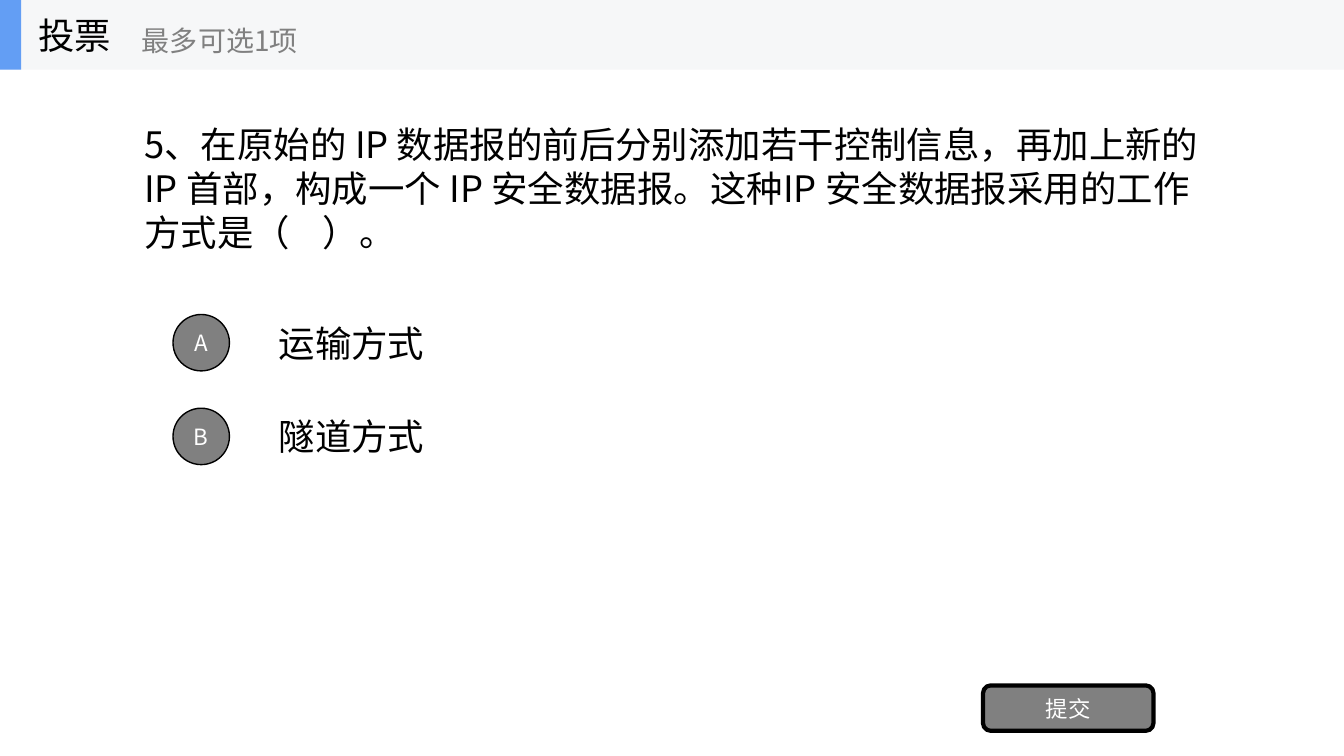
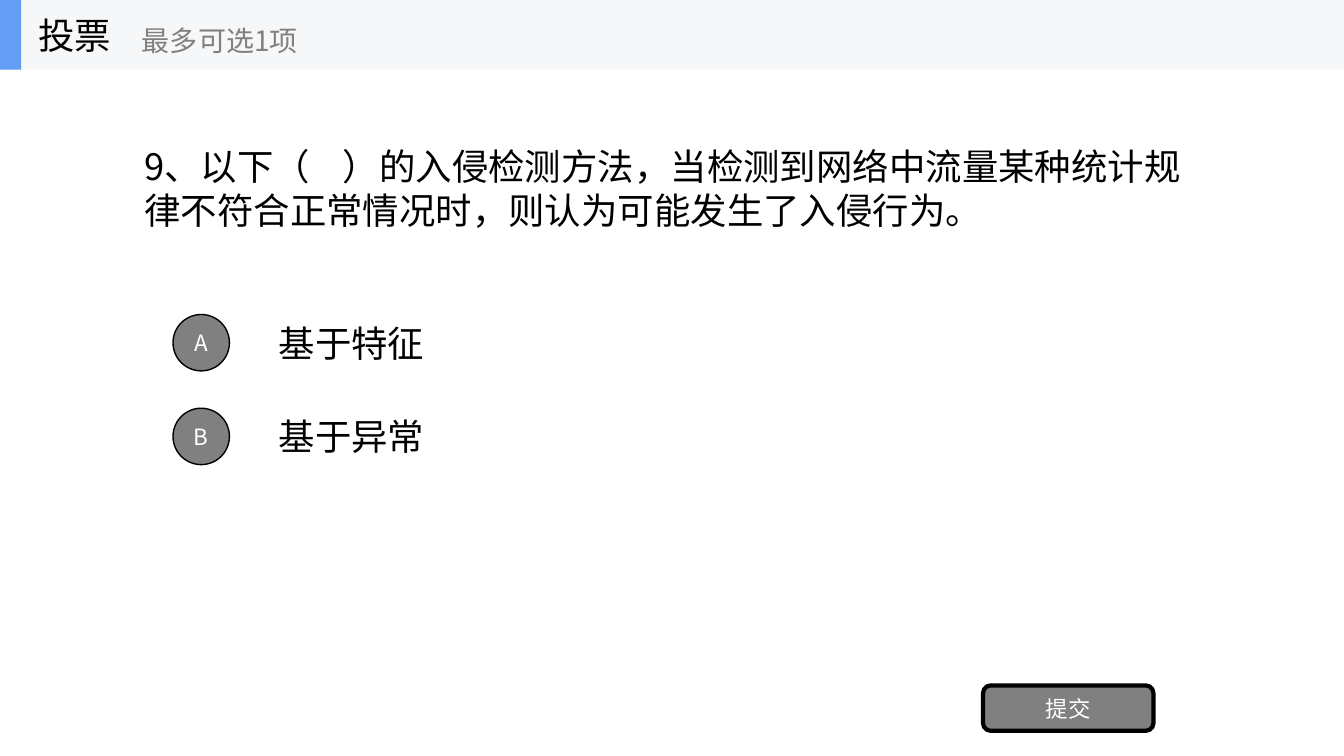
from dataclasses import dataclass

from lxml import etree
from pptx import Presentation
from pptx import util as u
from pptx.dml.color import RGBColor
from pptx.enum import shapes, text
from pptx.oxml import ns


@dataclass(frozen=True)
class Theme:
    font: str = "Noto Sans CJK SC"
    ink: str = "000000"
    muted: str = "808080"
    paper: str = "FFFFFF"
    band: str = "F6F7F8"
    accent: str = "639EF4"
    body: float = 26
    hint: float = 20
    label: float = 16
    question_leading: float = 31.4


THEME = Theme()
WIDTH, HEIGHT = 13.33, 7.5
BAND_HEIGHT = 0.69
OPTIONS_TOP, OPTION_STEP, OPTION_HEIGHT = 3.05, 0.93, 0.7

POLLS = [
    ("5、在原始的 IP 数据报的前后分别添加若干控制信息，再加上新的 IP 首部，"
     "构成一个 IP 安全数据报。这种IP 安全数据报采用的工作方式是（    ）。",
     ["运输方式", "隧道方式"]),
    ("9、以下（    ）的入侵检测方法，当检测到网络中流量某种统计规律不符合正常情况时，"
     "则认为可能发生了入侵行为。",
     ["基于特征", "基于异常"]),
]


def inches(box):
    return [u.Inches(length) for length in box]


def write(shape, words, size, color, align=text.PP_ALIGN.LEFT, wrap=True):
    frame = shape.text_frame
    frame.word_wrap = wrap
    frame.vertical_anchor = text.MSO_ANCHOR.MIDDLE
    paragraph = frame.paragraphs[0]
    paragraph.text = words
    paragraph.alignment = align
    font = paragraph.font
    font.size = u.Pt(size)
    font.color.rgb = RGBColor.from_string(color)
    font.name = THEME.font
    # East Asian characters need their own typeface entry
    props = paragraph._p.pPr.find(ns.qn("a:defRPr"))
    etree.SubElement(props, ns.qn("a:ea")).set("typeface", THEME.font)
    return paragraph


def add_words(parent, box, words, size=THEME.body, color=THEME.ink, wrap=True):
    return write(parent.add_textbox(*inches(box)), words, size, color, wrap=wrap)


def add_block(parent, kind, box, fill, line_width=0):
    block = parent.add_shape(kind, *inches(box))
    block.shadow.inherit = False
    block.fill.solid()
    block.fill.fore_color.rgb = RGBColor.from_string(fill)
    if line_width:
        block.line.color.rgb = RGBColor.from_string(THEME.ink)
        block.line.width = u.Pt(line_width)
    else:
        block.line.fill.background()
    return block


def add_button(parent, kind, box, words, line_width):
    button = add_block(parent, kind, box, THEME.muted, line_width)
    button.text_frame.margin_left = button.text_frame.margin_right = 0
    write(button, words, THEME.label, THEME.paper, text.PP_ALIGN.CENTER)


def add_question(slide, box, words):
    paragraph = add_words(slide.shapes, box, words)
    paragraph.line_spacing = u.Pt(THEME.question_leading)


def add_option(slide, box, letter, words):
    left, top, width, height = box
    add_words(slide.shapes, box, words)
    size = 0.8 * height
    badge = (left - 0.95, top + (height - size) / 2, size, size)
    add_button(slide.shapes, shapes.MSO_SHAPE.OVAL, badge, letter, 1)


def add_header(slide, box):
    left, top, width, height = box
    header = slide.shapes.add_group_shape().shapes
    rectangle = shapes.MSO_SHAPE.RECTANGLE
    add_block(header, rectangle, box, THEME.band)
    add_block(header, rectangle, (left, top, 0.21, height), THEME.accent)
    add_words(header, (left + 0.28, top, 2.08, height), "投票", wrap=False)
    add_words(header, (left + 1.31, top + 0.12, 2.5, 0.56), "最多可选1项",
              THEME.hint, THEME.muted, wrap=False)


def build_poll(slide, question, options):
    # Question
    margin = WIDTH / 10
    add_question(slide, (margin, BAND_HEIGHT, WIDTH - 2 * margin, 2.34), question)
    # Options
    for row, (letter, words) in enumerate(zip("ABCDEF", options)):
        top = OPTIONS_TOP + row * OPTION_STEP
        add_option(slide, (WIDTH / 5, top, WIDTH * 0.7, OPTION_HEIGHT), letter, words)
    # Submit button
    add_button(slide.shapes, shapes.MSO_SHAPE.ROUNDED_RECTANGLE,
               (9.75, 6.8, 1.69, 0.45), "提交", 3)
    # Header band
    add_header(slide, (0, 0, WIDTH, BAND_HEIGHT))


def main():
    deck = Presentation()
    deck.slide_width, deck.slide_height = inches((WIDTH, HEIGHT))
    for question, options in POLLS:
        build_poll(deck.slides.add_slide(deck.slide_layouts[6]), question, options)
    deck.save("out.pptx")


if __name__ == "__main__":
    main()
